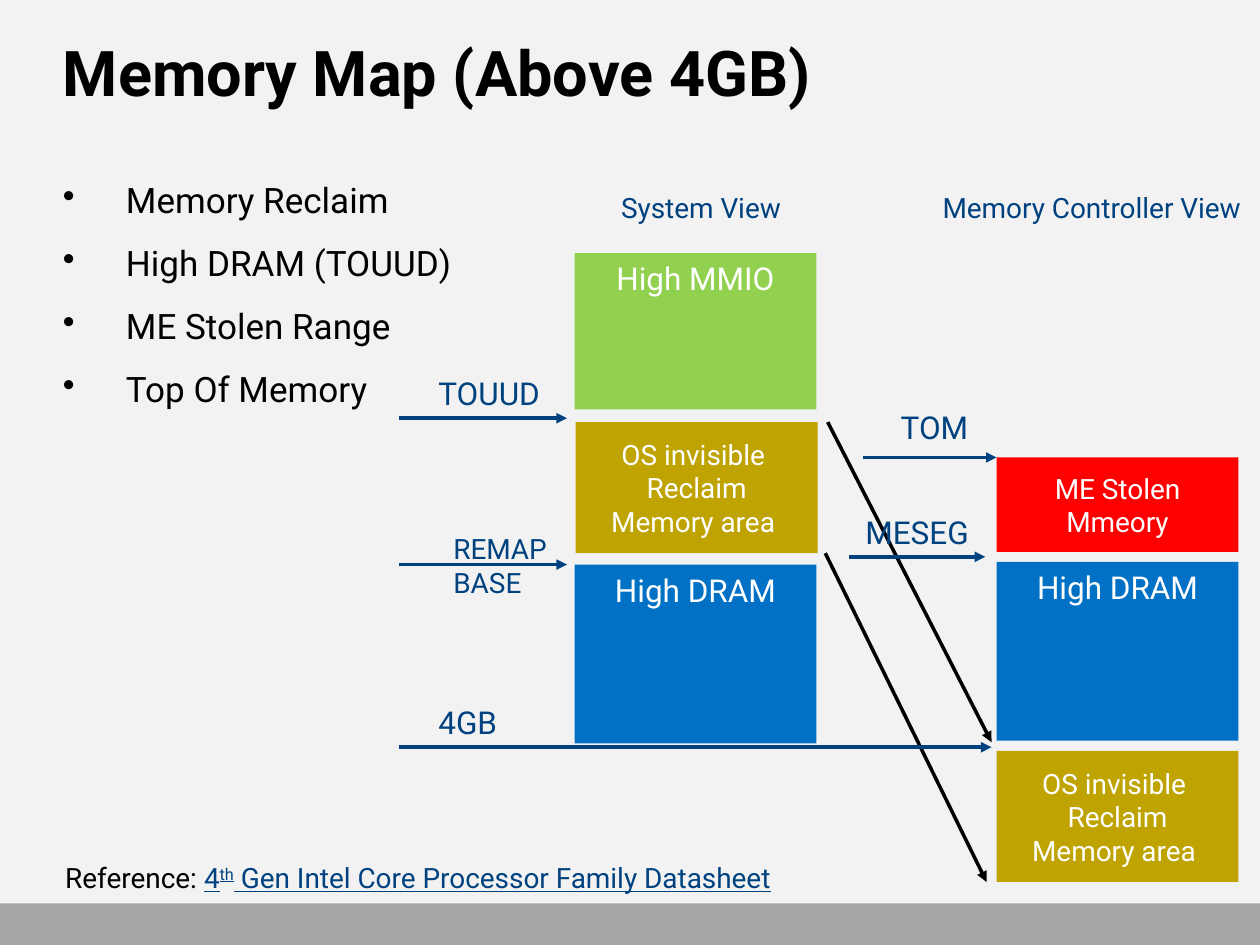
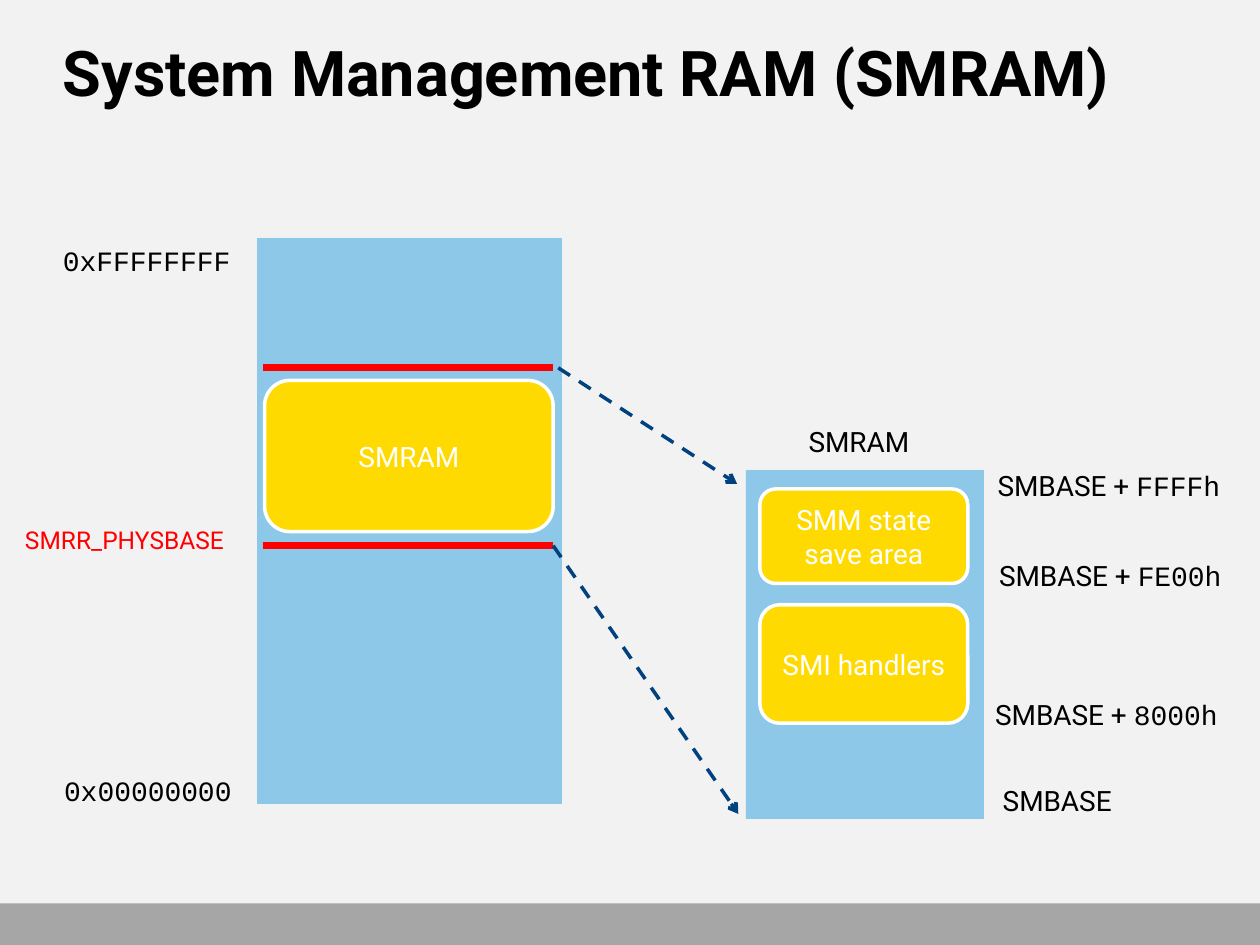
from dataclasses import dataclass
from typing import Any, Optional

from lxml.etree import SubElement
from pptx import Presentation
from pptx.dml.color import RGBColor
from pptx.enum.dml import MSO_LINE
from pptx.enum.shapes import MSO_CONNECTOR, MSO_SHAPE
from pptx.enum.text import MSO_ANCHOR as Anchor, PP_ALIGN as Align
from pptx.oxml.ns import qn
from pptx.slide import Slide
from pptx.text.text import TextFrame
from pptx.util import Pt

# Shared look
PAPER = RGBColor(0xF2, 0xF2, 0xF2)
BAND = RGBColor(0xA6, 0xA6, 0xA6)
BLACK = RGBColor(0, 0, 0)
WHITE = RGBColor(0xFF, 0xFF, 0xFF)
NAVY = RGBColor(0x00, 0x42, 0x80)
BLUE = RGBColor(0x00, 0x71, 0xC5)
SKY = RGBColor(0x8D, 0xC8, 0xE8)
OLIVE = RGBColor(0xBF, 0xA3, 0x00)
GREEN = RGBColor(0x92, 0xD0, 0x50)
RED = RGBColor(0xFF, 0, 0)
YELLOW = RGBColor(0xFF, 0xDA, 0x00)
SANS, MONO = "Roboto", "Courier New"
SLIDE_W, SLIDE_H, BAND_TOP = 720, 540, 516.2
MARGIN = 36
LINE_H = {14: 24.5, 16: 26.6, 18: 28.8}  # label height by text size


@dataclass(frozen=True)
class Run:
    text: str
    font: str = SANS
    color: Optional[RGBColor] = None
    underline: bool = False
    raised: bool = False


@dataclass(frozen=True)
class Block:
    """A filled region of a memory map."""
    left: float
    top: float
    width: float
    height: float
    fill: RGBColor
    lines: tuple[str, ...] = ()
    size: int = 16
    anchor: Any = Anchor.MIDDLE
    rounded: bool = False


@dataclass(frozen=True)
class Label:
    left: float
    top: float
    width: float
    runs: tuple[Run, ...]
    size: int = 16
    color: RGBColor = BLACK
    wrap: bool = False
    align: Any = Align.LEFT


@dataclass(frozen=True)
class Line:
    x1: float
    y1: float
    x2: float
    y2: float
    color: RGBColor = NAVY
    width: float = 2
    head: Optional[str] = "triangle"
    dashed: bool = False


def apply_format(target: Any, values: dict[str, Any]) -> None:
    for name, value in values.items():
        setattr(target, name, value)


def set_frame(frame: TextFrame, anchor: Any = Anchor.TOP, wrap: bool = True,
              inset: Optional[float] = None) -> None:
    apply_format(frame, {"word_wrap": wrap, "vertical_anchor": anchor})
    if inset is not None:
        sides = ("left", "top", "right", "bottom")
        apply_format(frame, {f"margin_{side}": Pt(inset) for side in sides})


def add_run(paragraph: Any, content: Run, size: float, color: RGBColor,
            bold: bool = False) -> None:
    run = paragraph.add_run()
    run.text = content.text
    apply_format(run.font, {"name": content.font, "size": Pt(size), "bold": bold,
                            "underline": content.underline})
    run.font.color.rgb = content.color or color
    if content.raised:
        run._r.get_or_add_rPr().set("baseline", "30000")


def paragraph_at(frame: TextFrame, index: int) -> Any:
    return frame.add_paragraph() if index else frame.paragraphs[0]


def draw_block(slide: Slide, block: Block) -> None:
    kind = MSO_SHAPE.ROUNDED_RECTANGLE if block.rounded else MSO_SHAPE.RECTANGLE
    shape = slide.shapes.add_shape(kind, Pt(block.left), Pt(block.top),
                                   Pt(block.width), Pt(block.height))
    shape.shadow.inherit = False
    shape.fill.solid()
    shape.fill.fore_color.rgb = block.fill
    if block.rounded:
        shape.line.color.rgb = WHITE
        shape.line.width = Pt(2)
    else:
        shape.line.fill.background()
    set_frame(shape.text_frame, block.anchor)
    for i, text in enumerate(block.lines):
        paragraph = paragraph_at(shape.text_frame, i)
        paragraph.alignment = Align.CENTER
        add_run(paragraph, Run(text), block.size, WHITE)


def draw_label(slide: Slide, label: Label) -> None:
    box = slide.shapes.add_textbox(Pt(label.left), Pt(label.top), Pt(label.width),
                                   Pt(LINE_H[label.size]))
    set_frame(box.text_frame, wrap=label.wrap)
    paragraph = box.text_frame.paragraphs[0]
    paragraph.alignment = label.align
    for run in label.runs:
        add_run(paragraph, run, label.size, label.color)


def draw_line(slide: Slide, line: Line) -> None:
    connector = slide.shapes.add_connector(
        MSO_CONNECTOR.STRAIGHT, Pt(line.x1), Pt(line.y1), Pt(line.x2), Pt(line.y2))
    connector.line.color.rgb = line.color
    connector.line.width = Pt(line.width)
    if line.dashed:
        connector.line.dash_style = MSO_LINE.DASH
    properties = connector._element.spPr
    if line.head:
        SubElement(properties.find(qn("a:ln")), qn("a:tailEnd"), type=line.head)
    SubElement(properties, qn("a:effectLst"))


def draw_bullets(slide: Slide, items: tuple[str, ...]) -> None:
    box = slide.shapes.add_textbox(Pt(MARGIN), Pt(102.2), Pt(275.8), Pt(242.6))
    set_frame(box.text_frame, inset=0)
    for i, item in enumerate(items):
        paragraph = paragraph_at(box.text_frame, i)
        paragraph.space_before = Pt(12 if i else 0)
        properties = paragraph._p.get_or_add_pPr()
        properties.set("marL", str(Pt(36)))
        properties.set("indent", str(-Pt(36)))
        SubElement(properties, qn("a:buChar"), char="•")
        add_run(paragraph, Run(item), 20, BLACK)


def start_slide(deck: Any, title: str) -> Slide:
    """Add a slide with the shared background, bottom band and title."""
    slide = deck.slides.add_slide(deck.slide_layouts[6])
    slide.background.fill.solid()
    slide.background.fill.fore_color.rgb = PAPER
    draw_block(slide, Block(0, BAND_TOP, SLIDE_W, SLIDE_H - BAND_TOP, BAND))
    box = slide.shapes.add_textbox(Pt(MARGIN), Pt(19.4), Pt(SLIDE_W - 2 * MARGIN), Pt(77.8))
    set_frame(box.text_frame, inset=0)
    add_run(box.text_frame.paragraphs[0], Run(title), 36, BLACK, bold=True)
    return slide


def build_memory_map(deck: Any) -> None:
    slide = start_slide(deck, "Memory Map (Above 4GB)")
    draw_bullets(slide, ("Memory Reclaim", "High DRAM (TOUUD)",
                         "ME Stolen Range", "Top Of Memory"))
    draw_label(slide, Label(30.2, 488.2, 461.5, (
        Run("Reference: "),
        Run("4", color=NAVY, underline=True),
        Run("th", color=NAVY, underline=True, raised=True),
        Run(" Gen Intel Core Processor Family Datasheet", color=NAVY, underline=True),
    ), wrap=True))

    # Reclaim area mapping and address boundaries
    marker_left, marker_right = 228.2, 324
    for line in (
        Line(471.6, 316.1, 563.8, 504, BLACK),
        Line(473, 241.2, 566.6, 424.1, BLACK),
        Line(493.2, 261.4, 569.5, 261.4),
        Line(485.3, 318.2, 563, 318.2),
        Line(marker_left, 239, marker_right, 239),
        Line(marker_left, 322.6, marker_right, 322.6),
        Line(marker_left, 427, 566.6, 427),
    ):
        draw_line(slide, line)

    # System view and controller view columns
    system, controller, width = 328.3, 569.5, 138.2
    reclaim = ("OS invisible ", "Reclaim", "Memory area ")
    for block in (
        Block(system, 144.7, width, 89.3, GREEN, ("High MMIO",), 18, Anchor.TOP),
        Block(system + 0.7, 241.2, width, 74.9, OLIVE, reclaim),
        Block(system, 322.6, width, 102.2, BLUE, ("High DRAM",), 18, Anchor.TOP),
        Block(controller, 261.4, width, 54, RED, ("ME Stolen Mmeory",)),
        Block(controller, 321.1, width, 102.2, BLUE, ("High DRAM",), 18, Anchor.TOP),
        Block(controller, 429.1, width, 74.9, OLIVE, reclaim),
    ):
        draw_block(slide, block)

    # Boundary names and column headings
    for left, top, label_width, text, size in (
        (243.4, 210.2, 82.8, "TOUUD", 18),
        (252, 300.2, 72, "REMAP BASE", 16),
        (243.4, 398.2, 68.4, "4GB", 18),
        (507.6, 229.7, 56.2, "TOM", 18),
        (487.4, 289.4, 82.8, "MESEG", 18),
        (347.8, 105.1, 112.3, "System View", 16),
    ):
        draw_label(slide, Label(left, top, label_width, (Run(text),), size, NAVY, wrap=True))
    draw_label(slide, Label(527.8, 105.1, 192.2, (Run("Memory Controller View"),),
                            color=NAVY, wrap=True, align=Align.CENTER))


def build_smram(deck: Any) -> None:
    slide = start_slide(deck, "System Management RAM (SMRAM)")

    # Address space and the enlarged SMRAM
    for block in (
        Block(146.9, 136.1, 174.2, 323.3, SKY),
        Block(151.2, 217.4, 164.9, 86.4, YELLOW, ("SMRAM",), rounded=True),
        Block(426.2, 268.6, 136.1, 199.4, SKY),
        Block(434.2, 279.4, 118.8, 54, YELLOW, ("SMM state save area",), rounded=True),
        Block(434.2, 345.6, 118.8, 67.7, YELLOW, ("SMI handlers",), rounded=True),
    ):
        draw_block(slide, block)

    # Range limits and zoom lines
    upper, lower, limit_right = 210.2, 311.8, 316.1
    for y in (upper, lower):
        draw_line(slide, Line(150.5, y, limit_right, y, RED, 4, head=None))
    draw_line(slide, Line(319, upper, 421.2, 276.5, head="arrow", dashed=True))
    draw_line(slide, Line(limit_right, lower, 421.9, 465.1, head="arrow", dashed=True))

    # Addresses
    draw_label(slide, Label(7.2, 296.6, 141.1, (Run("SMRR_PHYSBASE"),), 14, RED, wrap=True))
    for left, top, address in ((28.8, 135.4, "0xFFFFFFFF"), (29.5, 438.5, "0x00000000")):
        draw_label(slide, Label(left, top, 111.6, (Run(address, MONO),)))
    for left, top, offset in ((563, 264.2, "FFFFh"), (563.8, 315.4, "FE00h"),
                              (561.6, 395.3, "8000h")):
        draw_label(slide, Label(left, top, 148.3, (Run("SMBASE + "), Run(offset, MONO))))
    draw_label(slide, Label(565.9, 444.2, 81.4, (Run("SMBASE"),)))
    draw_label(slide, Label(455, 239, 74.9, (Run("SMRAM"),)))


def main() -> None:
    deck = Presentation()
    apply_format(deck, {"slide_width": Pt(SLIDE_W), "slide_height": Pt(SLIDE_H)})
    build_memory_map(deck)
    build_smram(deck)
    deck.save("out.pptx")


if __name__ == "__main__":
    main()
